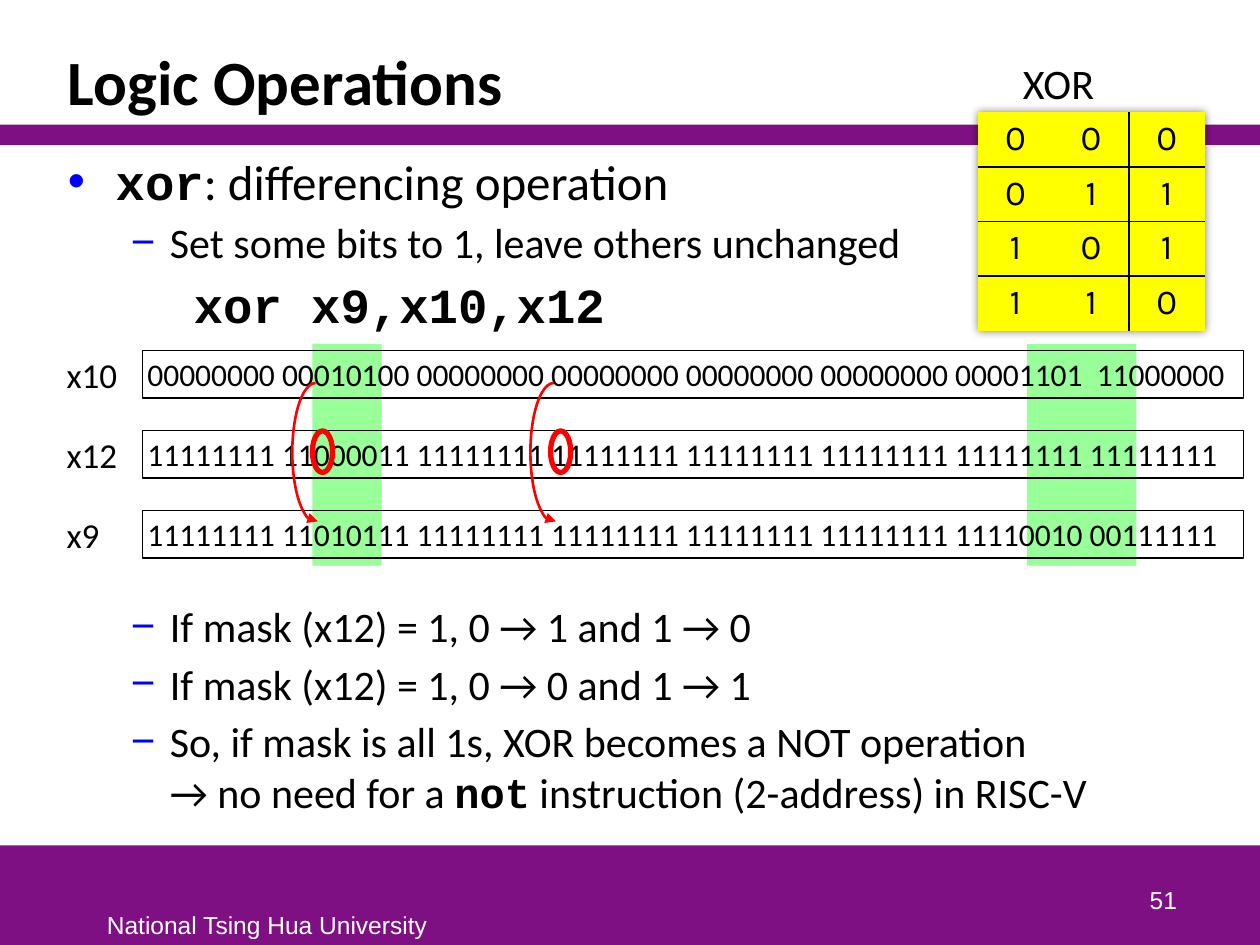
from lxml import etree
from pptx import Presentation
from pptx import util as u
from pptx.dml.color import RGBColor
from pptx.enum import shapes, text
from pptx.oxml import ns

Inches, Pt = u.Inches, u.Pt
SHAPE = shapes.MSO_SHAPE
COLORS = {"purple": "7F1084", "green": "99FF99", "yellow": "FFFF00", "red": "FF0000",
          "blue": "0000FF", "black": "000000", "white": "FFFFFF"}
SANS, MONO = "Calibri", "Courier New"
NO_STYLE = "{2D5ABB26-0587-4C30-8999-92F81FD0307C}"


def rgb(name):
    return RGBColor.from_string(COLORS[name])


def sub(parent, tag, **attrs):
    return etree.SubElement(parent, ns.qn(tag), attrs)


def add_box(s, box, kind=SHAPE.RECTANGLE, fill=None, line=None, width=0.75):
    sp = s.shapes.add_shape(kind, *map(Inches, box))
    sp.shadow.inherit = False
    if fill:
        sp.fill.solid()
        sp.fill.fore_color.rgb = rgb(fill)
    else:
        sp.fill.background()
    if line:
        sp.line.color.rgb = rgb(line)
        sp.line.width = Pt(width)
    else:
        sp.line.fill.background()
    return sp


def add_run(p, words, size, font=SANS, color="black", bold=False):
    r = p.add_run()
    r.text = words
    r.font.size, r.font.name, r.font.bold = Pt(size), font, bold
    r.font.color.rgb = rgb(color)


def add_text(s, box, words, size, font=SANS, color="black", bold=False, wrap=False):
    sp = s.shapes.add_textbox(*map(Inches, box))
    tf = sp.text_frame
    tf.word_wrap = wrap
    add_run(tf.paragraphs[0], words, size, font, color, bold)
    return tf


def set_indent(p, left, first=0, bullet=None):
    pPr = p._p.get_or_add_pPr()
    pPr.set("marL", str(Inches(left)))
    pPr.set("indent", str(Inches(first)))
    if bullet:
        sub(sub(pPr, "a:buClr"), "a:srgbClr", val=COLORS["blue"])
        sub(pPr, "a:buFont", typeface="Arial")
        sub(pPr, "a:buChar", char=bullet)


def add_outline(s, box, items):
    """Each item is (indent, runs); a run is (words, size, font, bold) or None for a line break."""
    tf = s.shapes.add_textbox(*map(Inches, box)).text_frame
    tf.word_wrap = True
    for i, (indent, runs) in enumerate(items):
        p = tf.add_paragraph() if i else tf.paragraphs[0]
        set_indent(p, *indent)
        if i:
            p.space_before = Pt(4)
        for run in runs:
            if run is None:
                p.add_line_break()
                continue
            words, size, font, bold = run
            add_run(p, words, size, font, bold=bold)


def add_frame(s):
    add_box(s, (0, 6.71, 10, 0.79), fill="purple")
    add_box(s, (0, 0.99, 10, 0.16), fill="purple")
    add_text(s, (0.75, 7.17, 2.76, 0.33), "National Tsing Hua University", 14, "Arial", "white")
    tf = add_text(s, (7.36, 6.81, 2.08, 0.5), "51", 14, "Arial", "white", wrap=True)
    tf.vertical_anchor = text.MSO_ANCHOR.BOTTOM
    tf.paragraphs[0].alignment = text.PP_ALIGN.RIGHT


def add_title(s, box, words):
    tf = add_text(s, box, words, 36, bold=True, wrap=True)
    tf.vertical_anchor = text.MSO_ANCHOR.BOTTOM
    tf.paragraphs[0].line_spacing = 0.85


def add_body(s, left, width):
    top, dash = (0.38, -0.38, "•"), (0.81, -0.31, "−")
    add_outline(s, (left, 1.15, width, 1.6), [
        (top, [("xor", 28, MONO, True), (": differencing operation", 28, SANS, False)]),
        (dash, [("Set some bits to 1, leave others unchanged", 24, SANS, False)]),
        ((1,), [("xor x9,x10,x12", 28, MONO, True)]),
    ])
    add_outline(s, (left, 4.72, width, 1.96), [
        (dash, [("If mask (x12) = 1, 0 → 1 and 1 → 0", 24, SANS, False)]),
        (dash, [("If mask (x12) = 1, 0 → 0 and 1 → 1", 24, SANS, False)]),
        (dash, [("So, if mask is all 1s, XOR becomes a NOT operation", 24, SANS, False), None,
                ("→ no need for a ", 24, SANS, False), ("not", 24, MONO, True),
                (" instruction (2-address) in RISC-V", 24, SANS, False)]),
    ])


def add_register(s, left, top, name, bits):
    add_text(s, (left, top - 0.02, 0.61, 0.44), name, 20)
    sp = add_box(s, (left + 0.7, top, 8.74, 0.38), line="black")
    tf = sp.text_frame
    tf.margin_left = tf.margin_right = tf.margin_top = tf.margin_bottom = Inches(0.04)
    tf.word_wrap = True
    p = tf.paragraphs[0]
    p.alignment = text.PP_ALIGN.LEFT
    add_run(p, bits, 18)


def add_bit_mark(s, left, top):
    """Circle the mask bit and curve an arrow from the source bit to the result bit."""
    add_box(s, (left + 0.16, top + 0.38, 0.16, 0.33), SHAPE.OVAL, line="red", width=3)
    arc = add_box(s, (left, top, 0.37, 1.1), SHAPE.ARC, line="red", width=1.5)
    arc.adjustments[0], arc.adjustments[1] = 162, 55.1
    arc.element.spPr.find(ns.qn("a:xfrm")).set("flipH", "1")
    sub(arc.line._get_or_add_ln(), "a:tailEnd", type="triangle")


def add_registers(s, left, top):
    rows = [
        ("x10", "00000000 00010100 00000000 00000000 00000000 00000000 00001101  11000000"),
        ("x12", "11111111 11000011 11111111 11111111 11111111 11111111 11111111 11111111"),
        ("x9", "11111111 11010111 11111111 11111111 11111111 11111111 11110010 00111111"),
    ]
    for x, width in ((2.05, 0.55), (7.72, 0.87)):
        add_box(s, (left + x, top - 0.05, width, 1.76), fill="green")
    for i, (name, bits) in enumerate(rows):
        add_register(s, left, top + i * 0.635, name, bits)
    for x in (1.89, 3.78):
        add_bit_mark(s, left + x, top + 0.26)


def add_border(cell, side):
    ln = sub(cell._tc.get_or_add_tcPr(), "a:ln" + side, w=str(Pt(1)))
    sub(sub(ln, "a:solidFill"), "a:srgbClr", val=COLORS["black"])


def add_truth_table(s, left, top):
    add_text(s, (left + 0.26, top - 0.48, 0.77, 0.5), "XOR", 24)
    frame = s.shapes.add_table(4, 3, *map(Inches, (left, top, 1.8, 1.73)))
    table = frame.table
    table.first_row = table.horz_banding = False
    tblPr = table._tbl.tblPr
    tblPr.find(ns.qn("a:tableStyleId")).text = NO_STYLE
    effects = etree.Element(ns.qn("a:effectLst"))
    tblPr.insert(0, effects)
    shadow = sub(effects, "a:outerShdw", blurRad=str(Pt(5)), algn="ctr")
    sub(sub(shadow, "a:srgbClr", val=COLORS["black"]), "a:alpha", val="50000")
    for row in range(4):
        a, b = divmod(row, 2)
        for col, bit in enumerate((a, b, a ^ b)):
            cell = table.cell(row, col)
            sides = (("L", col == 2), ("R", col == 1), ("T", row > 0), ("B", row < 3))
            for side, shown in sides:
                if shown:
                    add_border(cell, side)
            cell.fill.solid()
            cell.fill.fore_color.rgb = rgb("yellow")
            p = cell.text_frame.paragraphs[0]
            p.alignment = text.PP_ALIGN.CENTER
            add_run(p, str(bit), 20, "Karla")


def main():
    prs = Presentation()
    prs.slide_width, prs.slide_height = Inches(10), Inches(7.5)
    s = prs.slides.add_slide(prs.slide_layouts[6])
    add_frame(s)
    add_title(s, (0.44, 0.25, 9.12, 0.74), "Logic Operations")
    add_registers(s, 0.43, 2.78)
    add_body(s, 0.44, 9.12)
    add_truth_table(s, 7.76, 0.89)
    prs.save("out.pptx")


if __name__ == "__main__":
    main()
